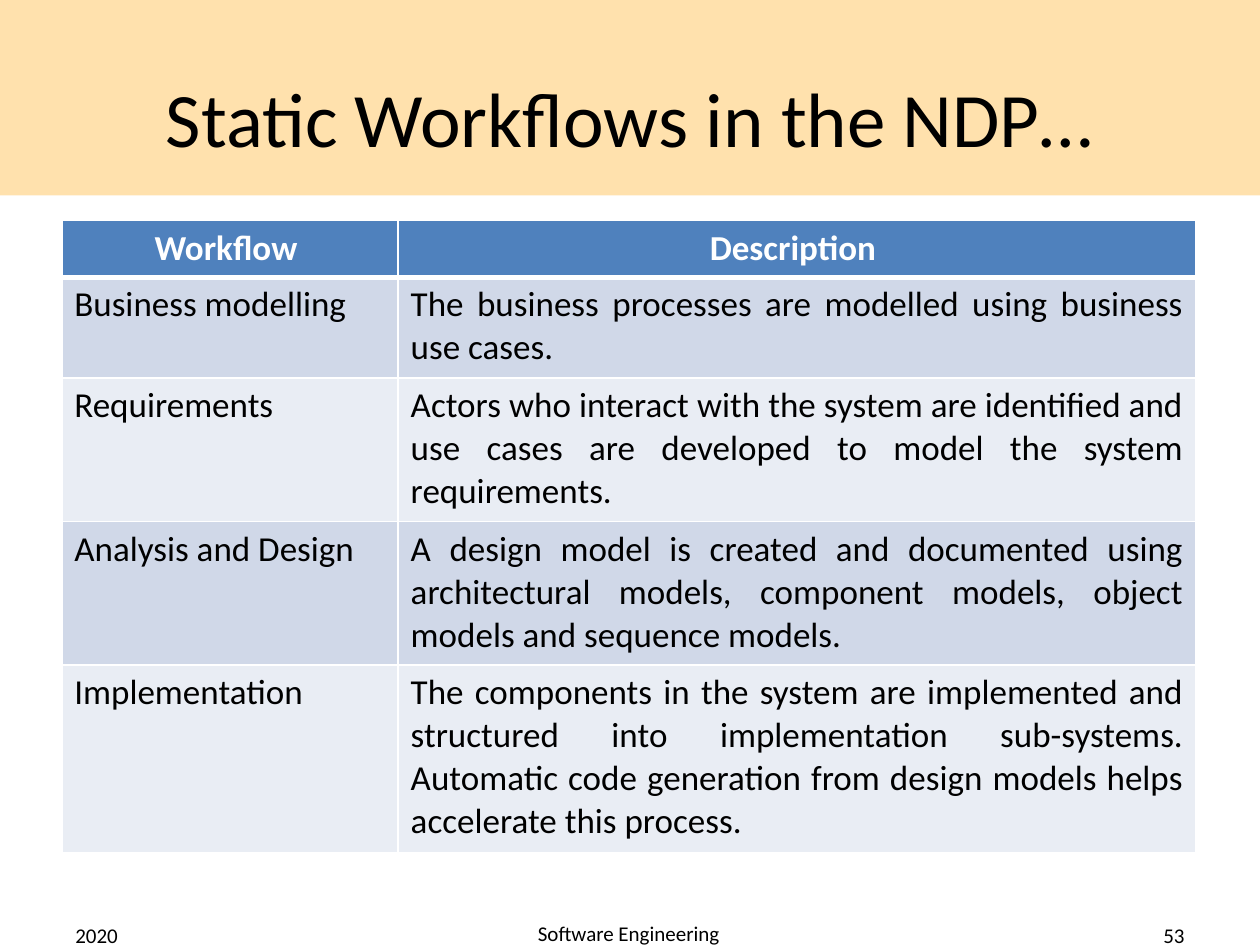
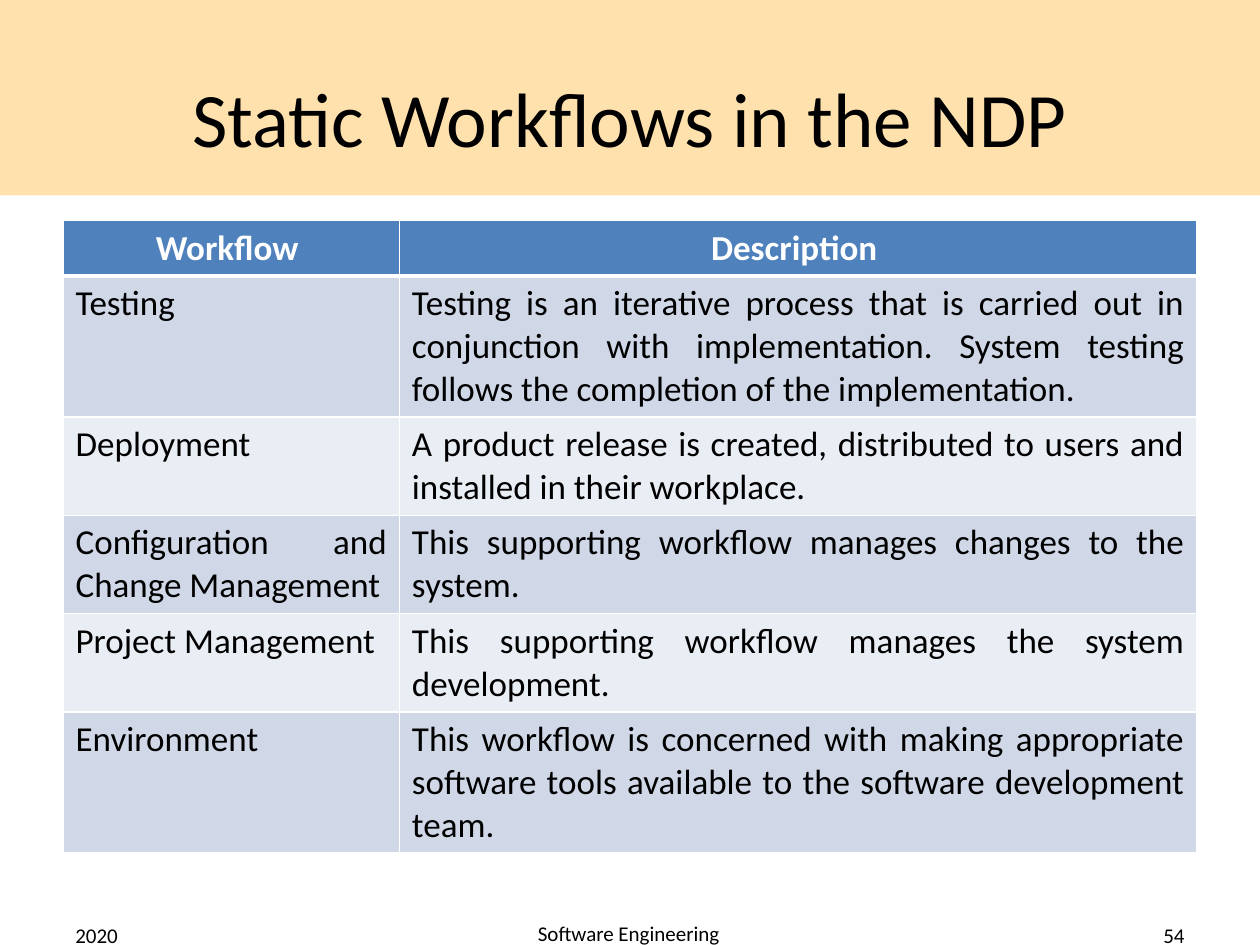
from lxml import etree
from pptx import Presentation
from pptx.dml.color import RGBColor
from pptx.enum.shapes import MSO_SHAPE
from pptx.enum.text import MSO_ANCHOR, PP_ALIGN
from pptx.oxml.ns import qn
from pptx.util import Inches, Pt

LEFT, CENTER, RIGHT, JUSTIFY = PP_ALIGN.LEFT, PP_ALIGN.CENTER, PP_ALIGN.RIGHT, PP_ALIGN.JUSTIFY
MIDDLE = MSO_ANCHOR.MIDDLE
RECTANGLE = MSO_SHAPE.RECTANGLE

COLORS = {
    "band": "FFE1AD",
    "header": "4F81BD",
    "odd_row": "D0D8E8",
    "even_row": "E9EDF4",
    "text": "000000",
    "white": "FFFFFF",
}
FONT = "Calibri"
COLUMN_WIDTHS = (2.67, 6.33)
TABLE_HEADER = ("Workflow ", "Description ")

SLIDES = [
    {
        "title": "Static Workflows in the NDP…",
        "number": "53",
        "table_left": 0.49,
        "heights": (0.45, 0.8, 1.14, 1.14, 1.49),
        "rows": [
            ("Business modelling",
             "The business processes are modelled using business use cases."),
            ("Requirements",
             "Actors who interact with the system are identified and use cases "
             "are developed to model the system requirements."),
            ("Analysis and Design",
             "A design model is created and documented using architectural models, "
             "component models, object models and sequence models."),
            ("Implementation",
             "The components in the system are implemented and structured into "
             "implementation sub-systems. Automatic code generation from design "
             "models helps accelerate this process."),
        ],
    },
    {
        "title": "Static Workflows in the NDP",
        "number": "54",
        "table_left": 0.5,
        "heights": (0.44, 1.12, 0.78, 0.78, 0.78, 1.12),
        "rows": [
            ("Testing",
             "Testing is an iterative process that is carried out in conjunction "
             "with implementation. System testing follows the completion of the "
             "implementation."),
            ("Deployment",
             "A product release is created, distributed to users and installed "
             "in their workplace."),
            ("Configuration and Change Management",
             "This supporting workflow manages changes to the system."),
            ("Project Management",
             "This supporting workflow manages the system development."),
            ("Environment",
             "This workflow is concerned with making appropriate software tools "
             "available to the software development team."),
        ],
    },
]


def write_text(text_frame, text, size=12, color="text", bold=False, align=LEFT):
    paragraph = text_frame.paragraphs[0]
    paragraph.alignment = align
    run = paragraph.add_run()
    run.text = text
    run.font.name = FONT
    run.font.size = Pt(size)
    run.font.bold = bold
    run.font.color.rgb = RGBColor.from_string(COLORS[color])


def set_borders(cell, top=1, bottom=1):
    properties = cell._tc.get_or_add_tcPr()
    widths = {"a:lnL": 1, "a:lnR": 1, "a:lnT": top, "a:lnB": bottom}
    for position, (tag, width) in enumerate(widths.items()):
        line = etree.Element(qn(tag), w=str(Pt(width)))
        fill = etree.SubElement(line, qn("a:solidFill"))
        etree.SubElement(fill, qn("a:srgbClr"), val=COLORS["white"])
        properties.insert(position, line)


class Deck:
    def __init__(self):
        self.presentation = Presentation()
        self.presentation.slide_width = Inches(10)
        self.presentation.slide_height = Inches(7.5)
        self.slide = None

    def add_slide(self, title, number):
        self.slide = self.presentation.slides.add_slide(self.presentation.slide_layouts[6])
        self.add_band()
        self.add_text(title, 0.5, 0.3, 9, 1.25, size=44, align=CENTER)
        self.add_text("2020", 0.5, 7.22, 2.33, 0.4)
        self.add_text("Software Engineering", 2.7, 7.24, 4.58, 0.33, align=CENTER)
        self.add_text(number, 7.17, 7.22, 2.33, 0.4, align=RIGHT)

    def add_band(self):
        band = self.slide.shapes.add_shape(RECTANGLE, 0, 0, Inches(10), Inches(1.55))
        band.shadow.inherit = False
        band.fill.solid()
        band.fill.fore_color.rgb = RGBColor.from_string(COLORS["band"])
        band.line.fill.background()

    def add_text(self, text, left, top, width, height, **text_format):
        box = self.slide.shapes.add_textbox(
            Inches(left), Inches(top), Inches(width), Inches(height))
        box.text_frame.word_wrap = True
        box.text_frame.vertical_anchor = MIDDLE
        write_text(box.text_frame, text, **text_format)

    def add_table(self, rows, left, heights):
        table = self.slide.shapes.add_table(
            len(rows) + 1, len(COLUMN_WIDTHS), Inches(left), Inches(1.75),
            Inches(sum(COLUMN_WIDTHS)), Inches(sum(heights))).table
        for column, width in zip(table.columns, COLUMN_WIDTHS):
            column.width = Inches(width)
        for index, (values, height) in enumerate(zip([TABLE_HEADER, *rows], heights)):
            table.rows[index].height = Inches(height)
            for cell, value in zip(table.rows[index].cells, values):
                self.fill_cell(cell, value, index)

    def fill_cell(self, cell, value, row_index):
        is_header = row_index == 0
        body_fill = "odd_row" if row_index % 2 else "even_row"
        cell.fill.solid()
        cell.fill.fore_color.rgb = RGBColor.from_string(
            COLORS["header" if is_header else body_fill])
        set_borders(cell, top=3 if row_index == 1 else 1, bottom=3 if is_header else 1)
        write_text(cell.text_frame, value, size=20, bold=is_header,
                   color="white" if is_header else "text",
                   align=CENTER if is_header else JUSTIFY)


def main():
    deck = Deck()
    for content in SLIDES:
        deck.add_slide(content["title"], content["number"])
        deck.add_table(content["rows"], content["table_left"], content["heights"])
    deck.presentation.save("out.pptx")


if __name__ == "__main__":
    main()
